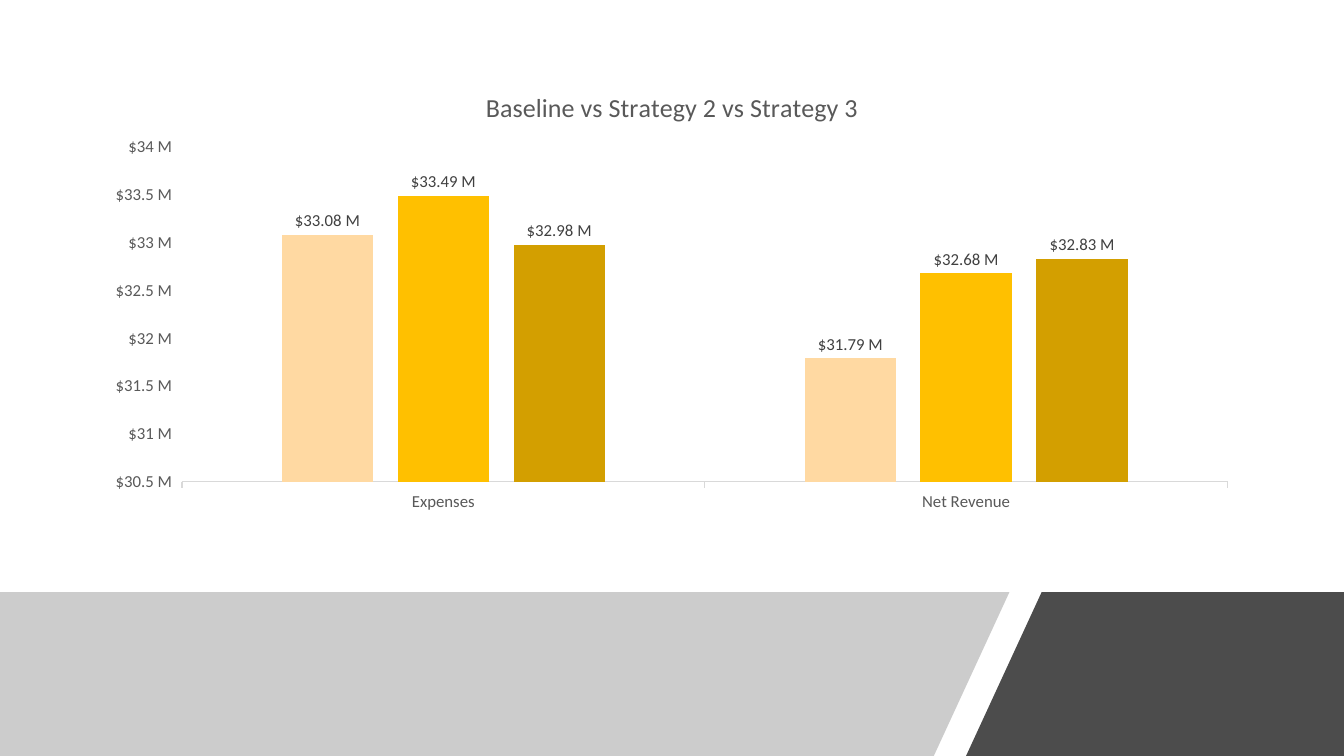
"""Build a slide with a clustered column chart above two slanted footer bands."""
from lxml.etree import SubElement
from pptx import Presentation
from pptx.chart.data import CategoryChartData
from pptx.dml.color import RGBColor
from pptx.enum.chart import XL_CHART_TYPE as ChartType, XL_LABEL_POSITION as LabelPosition, XL_TICK_MARK as TickMark
from pptx.oxml import parse_xml
from pptx.oxml.ns import nsdecls, qn
from pptx.util import Pt

WIDTH, HEIGHT = 960, 540
FONT = "Calibri"
GREY = "595959"
MONEY = '"$"#.##,,\\ "M"'
TITLE = "Baseline vs Strategy 2 vs Strategy 3"
CATEGORIES = ["Expenses", "Net Revenue"]
SERIES = [
    ("Series 1", (33080000, 31790000), "FFD9A2"),
    ("Series 2", (33490000, 32680000), "FFC000"),
    ("Series 3", (32980000, 32830000), "D39F00"),
]
CHART_BOX = (66.24, 50.4, 828, 321.12)
PLOT = {"x": 0.077, "y": 0.17, "w": 0.902, "h": 0.745}
BAND_TOP = 422.64
BANDS = [
    ([(0, BAND_TOP), (721.44, BAND_TOP), (666.72, HEIGHT), (0, HEIGHT)], "808080", 40),
    ([(744.48, BAND_TOP), (WIDTH, BAND_TOP), (WIDTH, HEIGHT), (689.76, HEIGHT)], "000000", 70),
]


def paint(fill, colour):
    fill.solid()
    fill.fore_color.rgb = RGBColor.from_string(colour)


def style(font, size, colour):
    font.name, font.size, font.bold = FONT, Pt(size), False
    font.color.rgb = RGBColor.from_string(colour)


def add_band(page, points, colour, opacity):
    outline = page.shapes.build_freeform(*points[0], scale=Pt(1))
    outline.add_line_segments(points[1:], close=True)
    band = outline.convert_to_shape()
    band.shadow.inherit = False
    band.line.fill.background()
    paint(band.fill, colour)
    tint = band.fill._xPr.find(".//" + qn("a:srgbClr"))
    SubElement(tint, qn("a:alpha"), val=str(opacity * 1000))


def place_plot(chart):
    plot_area = chart._chartSpace.chart.plotArea
    for old in plot_area.findall(qn("c:layout")):
        plot_area.remove(old)
    sizes = "".join(f'<c:{name} val="{value}"/>' for name, value in PLOT.items())
    plot_area.insert(0, parse_xml(
        f'<c:layout {nsdecls("c")}><c:manualLayout><c:layoutTarget val="inner"/>'
        f'<c:xMode val="edge"/><c:yMode val="edge"/>{sizes}</c:manualLayout></c:layout>'))


def add_columns(page):
    data = CategoryChartData(number_format=MONEY)
    data.categories = CATEGORIES
    for name, values, _ in SERIES:
        data.add_series(name, values)
    box = [Pt(length) for length in CHART_BOX]
    chart = page.shapes.add_chart(ChartType.COLUMN_CLUSTERED, *box, data).chart
    style(chart.font, 10, "000000")
    chart.has_legend = False
    chart.has_title = True
    para = chart.chart_title.text_frame.paragraphs[0]
    para.text = TITLE
    style(para.runs[0].font, 18.6, GREY)
    chart.chart_title.include_in_layout = False

    for axis in (chart.category_axis, chart.value_axis):
        style(axis.tick_labels.font, 12, GREY)
        axis.has_major_gridlines = False
        axis.major_tick_mark = TickMark.OUTSIDE
        axis.minor_tick_mark = TickMark.NONE
    base = chart.category_axis.format.line
    paint(base.fill, "D9D9D9")
    base.width = Pt(0.75)
    scale = chart.value_axis
    scale.format.line.fill.background()
    scale.minimum_scale, scale.maximum_scale, scale.major_unit = 30500000, 34000000, 500000
    scale.tick_labels.number_format = MONEY
    scale.tick_labels.number_format_is_linked = False

    plot = chart.plots[0]
    plot.gap_width, plot.overlap, plot.vary_by_categories = 219, -27, False
    for series, (_, _, colour) in zip(plot.series, SERIES):
        paint(series.format.fill, colour)
        series.invert_if_negative = False
        labels = series.data_labels
        labels.show_value = True
        labels.position = LabelPosition.OUTSIDE_END
        labels.number_format = MONEY
        labels.number_format_is_linked = False
        style(labels.font, 12, "404040")
    place_plot(chart)


def main():
    deck = Presentation()
    deck.slide_width, deck.slide_height = Pt(WIDTH), Pt(HEIGHT)
    page = deck.slides.add_slide(deck.slide_layouts[6])
    for band in BANDS:
        add_band(page, *band)
    add_columns(page)
    deck.save("out.pptx")


if __name__ == "__main__":
    main()
